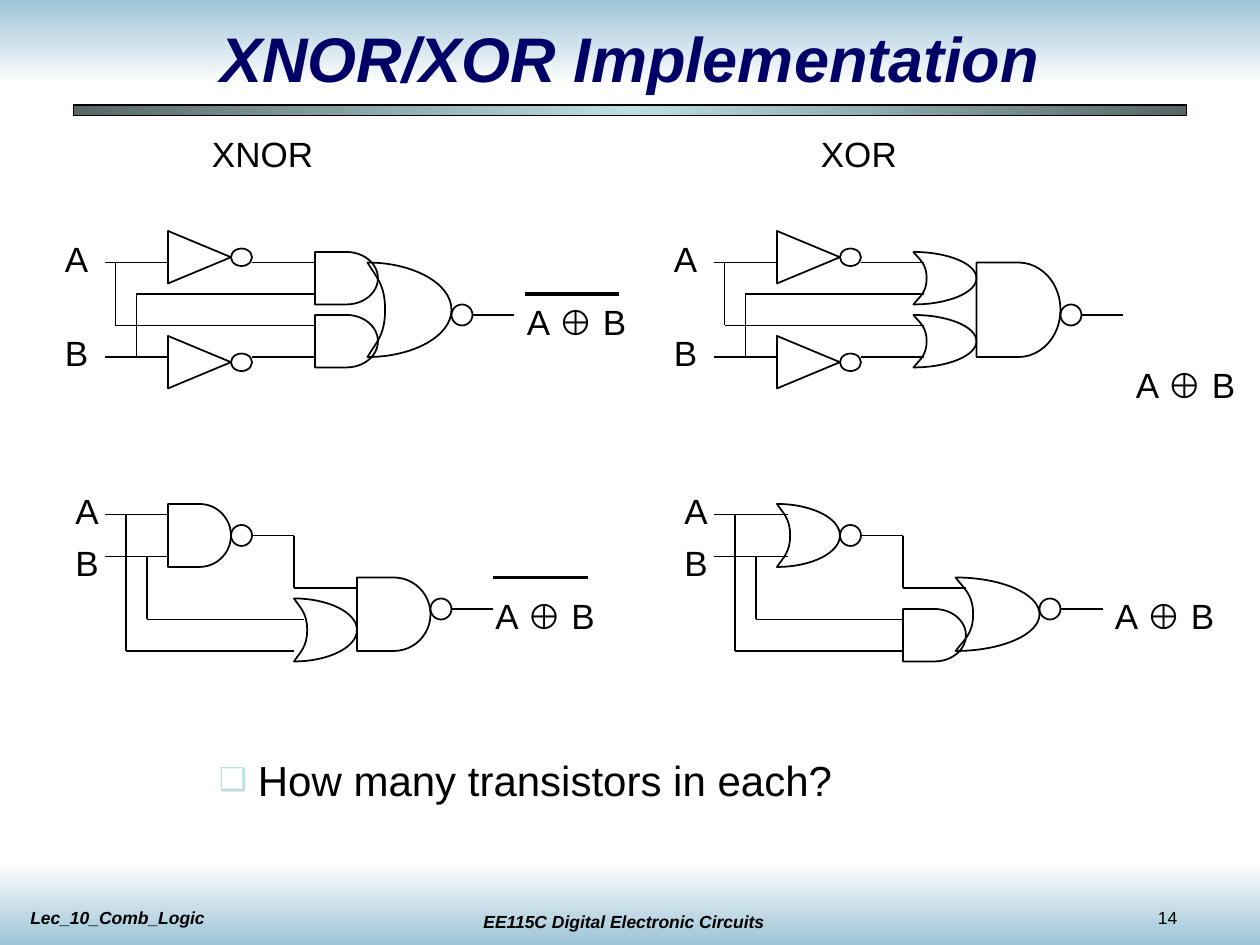
"""Build the XNOR/XOR gate implementation slide on a grid of 120 columns by 90 rows."""
from pptx import Presentation
from pptx.dml.color import RGBColor
from pptx.enum.shapes import MSO_CONNECTOR as Connector, MSO_SHAPE as Shape
from pptx.enum.text import MSO_ANCHOR as Anchor, MSO_AUTO_SIZE as AutoSize, PP_ALIGN as Align
from pptx.oxml.ns import qn
from pptx.oxml.xmlchemy import OxmlElement
from pptx.util import Inches, Pt
from copy import deepcopy

COLUMNS = 120
RIGHT_HALF = 58
OR_CURVES = [(0.1, 0.15), (0.21, 0.23), (0.21, 0.5),
             (0.21, 0.77), (0.1, 0.85), (0, 1),
             (0.54, 1), (1, 0.78), (1, 0.5),
             (1, 0.22), (0.54, 0), (0, 0)]


def colour(value):
    return RGBColor.from_string(value)


class GateSlide:
    font = "Arial"
    ink = "000000"
    navy = "000066"
    sky = "9DC4D7"
    white = "FFFFFF"
    slate = "566768"
    aqua = "BBE0E3"

    def __init__(self, presentation):
        self.unit = presentation.slide_width // COLUMNS
        self.slide = presentation.slides.add_slide(presentation.slide_layouts[1])
        self.shapes = self.slide.shapes
        self.offset = 0

    def grid(self, *lengths):
        return [round(length * self.unit) for length in lengths]

    def place(self, shape, *box):
        shape.left, shape.top, shape.width, shape.height = self.grid(*box)

    def set_text(self, shape, text, size, bold=False, align=Align.LEFT, hue=None,
                 anchor=Anchor.TOP, inset=(0.1, 0.05)):
        frame = shape.text_frame
        frame.word_wrap = True
        frame.auto_size = AutoSize.NONE
        frame.vertical_anchor = anchor
        frame.margin_left = frame.margin_right = Inches(inset[0])
        frame.margin_top = frame.margin_bottom = Inches(inset[1])
        paragraph = frame.paragraphs[0]
        paragraph.alignment = align
        paragraph.space_before = Pt(0)
        run = paragraph.add_run()
        run.text = text
        run.font.name = self.font
        run.font.size = Pt(size)
        run.font.bold = run.font.italic = bold
        run.font.color.rgb = colour(hue or self.ink)
        return paragraph

    def title(self, text, *box):
        shape = self.shapes.title
        self.place(shape, *box)
        self.set_text(shape, text, 36, True, Align.CENTER, self.navy, Anchor.MIDDLE)

    def question(self, text, *box):
        shape = self.slide.placeholders[1]
        self.place(shape, *box)
        paragraph = self.set_text(shape, text, 24, inset=(0.07, 0.03))
        paragraph.line_spacing = 0.9
        properties = paragraph._p.get_or_add_pPr()
        properties.set("marL", str(Inches(0.31)))
        properties.set("indent", str(-Inches(0.31)))
        bullet_colour = OxmlElement("a:buClr")
        value = OxmlElement("a:srgbClr")
        value.set("val", self.aqua)
        bullet_colour.append(value)
        properties.append(bullet_colour)
        for tag, name, setting in (("a:buSzPct", "val", "75000"),
                                   ("a:buFont", "typeface", self.font),
                                   ("a:buChar", "char", "❑")):
            element = OxmlElement(tag)
            element.set(name, setting)
            properties.append(element)

    def text(self, text, column, row, columns, rows=5.3, size=20, bold=False, align=Align.LEFT):
        box = self.grid(column + self.offset, row, columns, rows)
        self.set_text(self.shapes.add_textbox(*box), text, size, bold, align)

    def band(self, hues, angle, *box, outlined=False):
        shape = self.shapes.add_shape(Shape.RECTANGLE, *self.grid(*box))
        shape.shadow.inherit = False
        shape.fill.gradient()
        shape.fill.gradient_angle = angle
        stop_list = shape.element.find(".//" + qn("a:gsLst"))
        for _ in hues[2:]:
            stop_list.append(deepcopy(stop_list[-1]))
        for index, (stop, hue) in enumerate(zip(shape.fill.gradient_stops, hues)):
            stop.position = index / (len(hues) - 1)
            stop.color.rgb = colour(hue)
        if outlined:
            self.stroke(shape.line, 0.75)
        else:
            shape.line.fill.background()
        self.shapes._spTree.insert(2, shape.element)

    def stroke(self, line, width=1):
        line.color.rgb = colour(self.ink)
        line.width = Pt(width)

    def outline(self, shape):
        shape.shadow.inherit = False
        shape.fill.background()
        self.stroke(shape.line)
        return shape

    def preset(self, kind, column, row, columns, rows):
        box = self.grid(column + self.offset, row, columns, rows)
        return self.outline(self.shapes.add_shape(kind, *box))

    def and_gate(self, *box):
        self.preset(Shape.FLOWCHART_DELAY, *box)

    def or_gate(self, column, row, columns, rows):
        points = [self.grid(column + self.offset + x * columns, row + y * rows)
                  for x, y in OR_CURVES]
        builder = self.shapes.build_freeform(*points[-1])
        builder.add_line_segments(points, close=True)
        shape = builder.convert_to_shape()
        segments = list(shape.element.iter(qn("a:lnTo")))
        closing = next(shape.element.iter(qn("a:close")))
        for start in range(0, len(OR_CURVES), 3):
            curve = OxmlElement("a:cubicBezTo")
            for segment in segments[start:start + 3]:
                curve.append(segment[0])
                segment.getparent().remove(segment)
            closing.addprevious(curve)
        self.outline(shape)

    def bubble(self, column, row, rows=2):
        self.preset(Shape.OVAL, column, row, 2, rows)

    def inverter(self, column, row):
        self.preset(Shape.ISOSCELES_TRIANGLE, column + 0.5, row - 0.5, 5, 6).rotation = 90
        self.bubble(column + 6, row + 1.67, 1.67)

    def wire(self, x1, y1, x2, y2, width=1):
        ends = self.grid(x1 + self.offset, y1, x2 + self.offset, y2)
        connector = self.shapes.add_connector(Connector.STRAIGHT, *ends)
        self.stroke(connector.line, width)
        connector.element.spPr.append(OxmlElement("a:effectLst"))

    def wires(self, *routes):
        for route in routes:
            self.wire(*route)

    def inputs(self, column, *rows):
        for name, row in zip("AB", rows):
            self.text(name, column, row, 4.7)

    def result(self, column, row, bar_row=None):
        self.text("A ⊕ B", column, row, 13)
        if bar_row:
            self.wire(column + 1, bar_row, column + 10, bar_row, 2.25)

    def inverter_circuit(self, input_gate, input_column, output_gate):
        self.inputs(5, 22, 31)
        for row in (22, 32):
            self.inverter(16, row)
        for row in (24, 30):
            input_gate(input_column, row, 6, 5)
        output_gate(35, 25, 8, 9)
        self.bubble(43, 29)
        self.wires((10, 25, 16, 25), (10, 34, 16, 34), (24, 25, 30, 25), (24, 34, 30, 34),
                   (13, 28, 30, 28), (13, 28, 13, 34), (11, 25, 11, 31), (11, 31, 14, 31),
                   (14, 31, 30, 31), (45, 30, 49, 30))

    def compact_circuit(self, first_gate, lower_gate, lower_box, output_gate, output_box, reach):
        self.inputs(6, 46, 51)
        first_gate(16, 48, 6, 6)
        self.bubble(22, 50)
        lower_gate(*lower_box)
        output_gate(*output_box)
        self.bubble(41, 57)
        first_end, lower_end = reach
        self.wires((10, 49, first_end, 49), (10, 53, first_end, 53), (24, 51, 28, 51),
                   (28, 51, 28, 56), (28, 56, 34, 56), (12, 62, 28, 62),
                   (14, 59, lower_end, 59), (14, 53, 14, 59), (12, 49, 12, 52),
                   (12, 52, 12, 55), (12, 54, 12, 62), (43, 58, 47, 58))


def main():
    presentation = Presentation()
    presentation.slide_width, presentation.slide_height = Inches(10), Inches(7.5)
    page = GateSlide(presentation)
    page.band([page.sky, page.white], 270, 0, 0, COLUMNS, 8)
    page.band([page.white, page.sky], 270, 0, 82, COLUMNS, 8)
    page.band([page.slate, page.aqua, page.slate], 180, 7, 10, 106, 1, outlined=True)
    page.title("XNOR/XOR Implementation", 9, 2, 102, 7)

    page.text("XNOR", 19, 12, 14)
    page.inverter_circuit(page.and_gate, 30, page.or_gate)
    page.result(49, 28, 28)
    page.compact_circuit(page.and_gate, page.or_gate, (28, 57, 6, 6),
                         page.and_gate, (34, 55, 7, 7), (16, 29))
    page.result(46, 56, 55)

    page.offset = RIGHT_HALF
    page.text("XOR", 19, 12, 14)
    page.inverter_circuit(page.or_gate, 29, page.and_gate)
    page.result(49, 34)
    page.compact_circuit(page.or_gate, page.and_gate, (28, 58, 6, 5),
                         page.or_gate, (33, 55, 8, 7), (17, 28))
    page.result(47, 56)

    page.offset = 0
    page.question("How many transistors in each?", 20, 72, 74, 5)
    page.text("Lec_10_Comb_Logic", 1.7, 85.8, 34, 3.2, 10, True)
    page.text("EE115C Digital Electronic Circuits", 42.4, 86.2, 34, 3.2, 10, True, Align.CENTER)
    page.text("14", 109.1, 85.8, 10, 3.2, 10)
    presentation.save("out.pptx")


if __name__ == "__main__":
    main()
